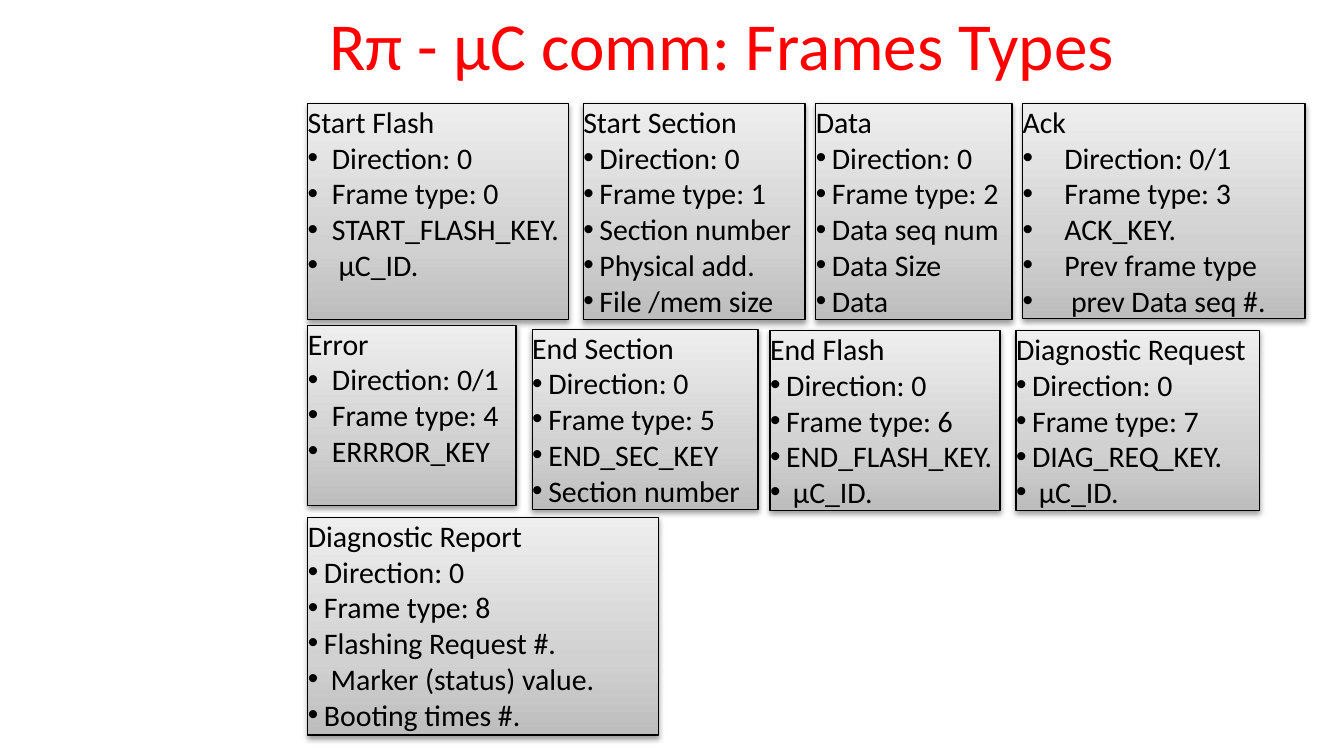
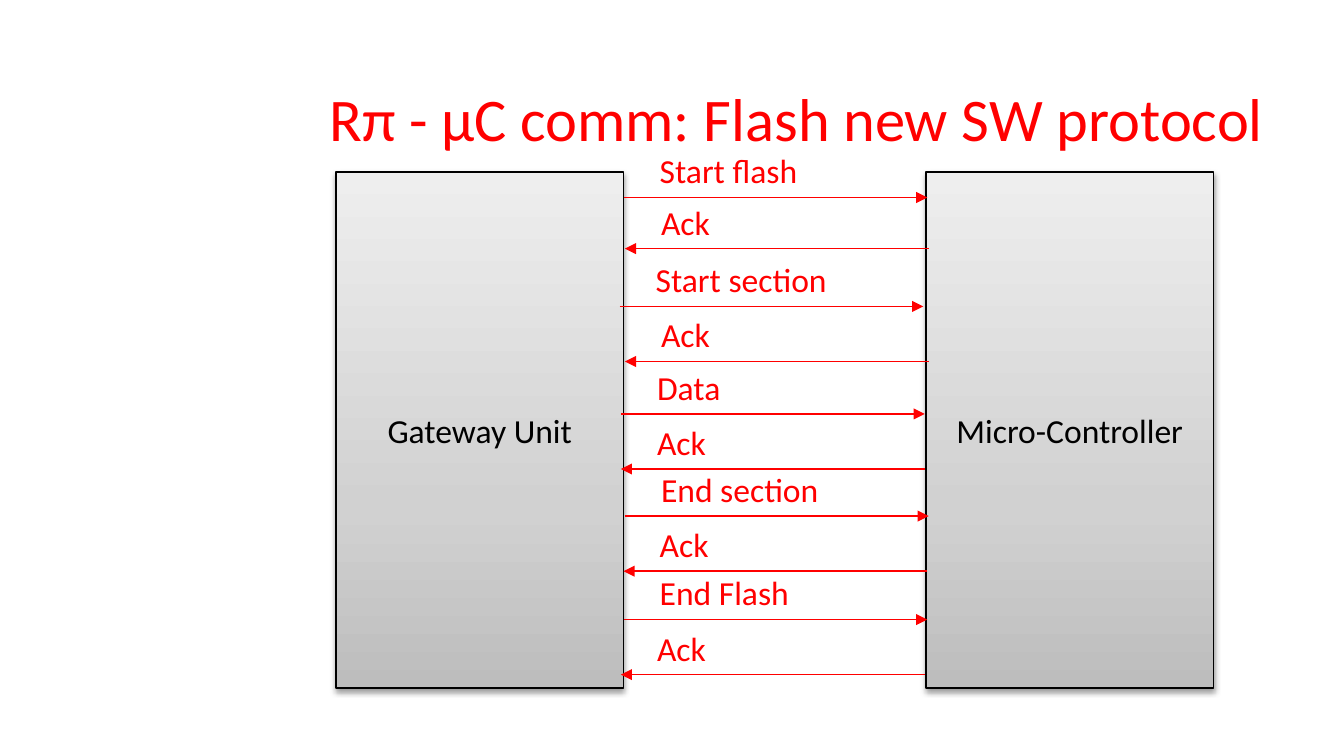
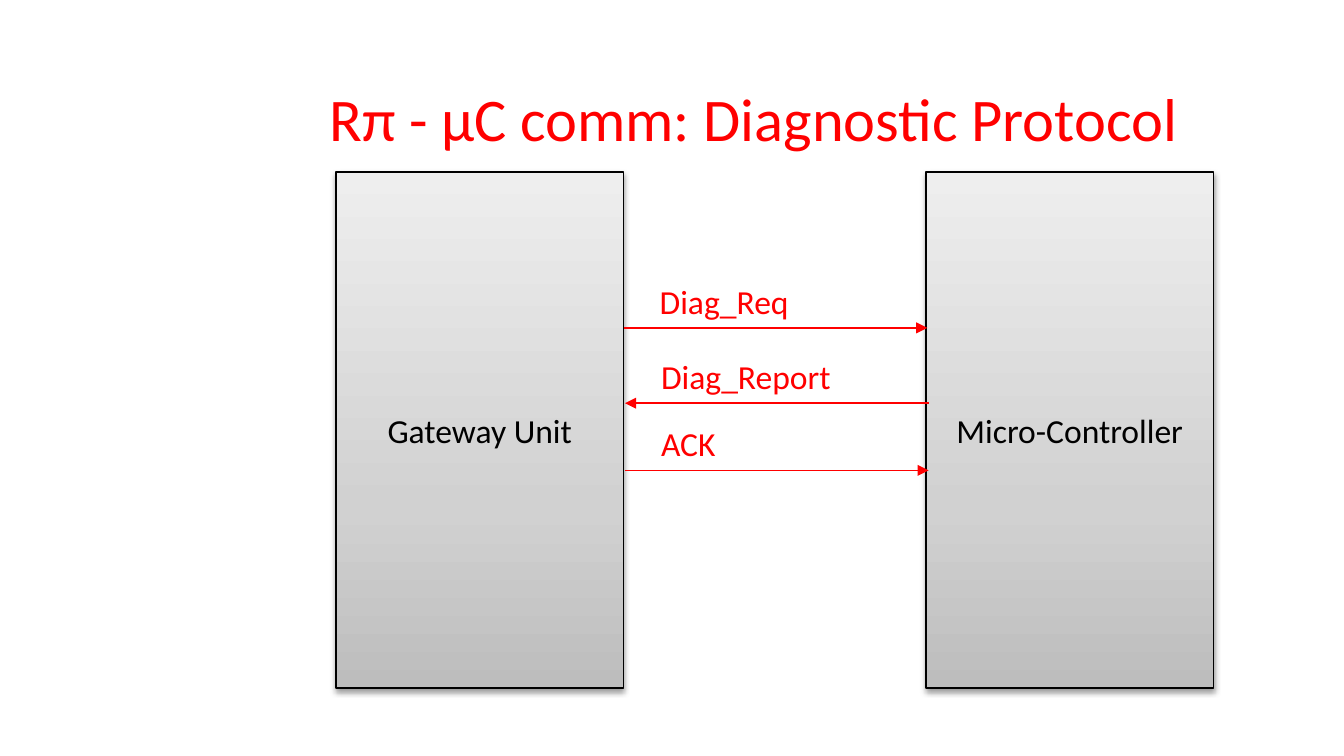
from copy import deepcopy
from typing import NamedTuple

from lxml.etree import SubElement
from pptx import Presentation
from pptx.dml.color import RGBColor
from pptx.enum.shapes import MSO_CONNECTOR as Connector, MSO_SHAPE as Shape
from pptx.enum.text import MSO_ANCHOR as Anchor, MSO_AUTO_SIZE as AutoSize, PP_ALIGN as Align
from pptx.oxml.ns import qn
from pptx.util import Inches, Pt

SLIDE_WIDTH = Inches(10)
SLIDE_HEIGHT = SLIDE_WIDTH * 9 // 16
COLORS = {
    "accent": "FF0000",
    "ink": "000000",
    "shade": "BDBDBD",
    "middle": "D1D1D1",
    "light": "EEEEEE",
}
GRADIENT = ((0, "shade"), (0.35, "middle"), (1, "light"))
FONT = "Calibri"
ARROW_LENGTH = 2.26
LABEL_OFFSET = 0.17
LABEL_RISE = 0.4


class Box(NamedTuple):
    left: float
    top: float
    width: float
    height: float

    def lengths(self) -> list:
        return [Inches(value) for value in self]


class Frame(NamedTuple):
    """A frame type; its number is its place in FRAMES."""
    name: str
    box: Box
    fields: tuple[str, ...]
    direction: str = "0"
    indent: float = 0.12


class Message(NamedTuple):
    label: str
    left: float
    y: float


class Party(NamedTuple):
    name: str
    box: Box


class Exchange(NamedTuple):
    title: str
    messages: tuple[Message, ...]


FRAMES = (
    Frame("Start Flash", Box(2.29, 0.77, 1.94, 1.61),
          ("START_FLASH_KEY.", " µC_ID."), indent=0.18),
    Frame("Start Section", Box(4.34, 0.77, 1.65, 1.61),
          ("Section number", "Physical add.", "File /mem size")),
    Frame("Data", Box(6.07, 0.77, 1.46, 1.61), ("Data seq num", "Data Size", "Data")),
    Frame("Ack", Box(7.61, 0.77, 2.1, 1.6),
          ("ACK_KEY.", "Prev frame type", " prev Data seq #."), "0/1", 0.31),
    Frame("Error", Box(2.29, 2.42, 1.55, 1.34), ("ERRROR_KEY",), "0/1", 0.18),
    Frame("End Section", Box(3.96, 2.45, 1.68, 1.34), ("END_SEC_KEY", "Section number")),
    Frame("End Flash", Box(5.73, 2.46, 1.71, 1.34), ("END_FLASH_KEY.", " µC_ID.")),
    Frame("Diagnostic Request", Box(7.56, 2.46, 1.81, 1.34), ("DIAG_REQ_KEY.", " µC_ID.")),
    Frame("Diagnostic Report", Box(2.29, 3.85, 2.61, 1.62),
          ("Flashing Request #.", " Marker (status) value.", "Booting times #.")),
)
PARTIES = (
    Party("Gateway Unit", Box(2.5, 1.28, 2.14, 3.84)),
    Party("Micro-Controller", Box(6.89, 1.28, 2.14, 3.84)),
)
EXCHANGES = (
    Exchange("Flash new SW protocol", (
        Message("Start flash", 4.64, 1.47),
        Message("Ack", 4.65, 1.85),
        Message("Start section", 4.61, 2.28),
        Message("Ack", 4.65, 2.69),
        Message("Data", 4.62, 3.08),
        Message("Ack", 4.62, 3.49),
        Message("End section", 4.65, 3.84),
        Message("Ack", 4.64, 4.25),
        Message("End Flash", 4.64, 4.61),
        Message("Ack", 4.62, 5.02),
    )),
    Exchange("Diagnostic Protocol", (
        Message("Diag_Req", 4.64, 2.44),
        Message("Diag_Report", 4.65, 3),
        Message("ACK", 4.65, 3.5),
    )),
)


def rgb(color: str) -> RGBColor:
    return RGBColor.from_string(COLORS[color])


def apply(target, **settings) -> None:
    for attribute, value in settings.items():
        setattr(target, attribute, value)


def write(paragraph, text: str, size: float, color: str, align=Align.LEFT) -> None:
    paragraph.alignment = align
    run = paragraph.add_run()
    run.text = text
    apply(run.font, name=FONT, size=Pt(size))
    run.font.color.rgb = rgb(color)


def add_titled_slide(deck, topic: str, top: float, size: float):
    slide = deck.slides.add_slide(deck.slide_layouts.get_by_name("Title Only"))
    title = slide.shapes.title
    left, top, width, height = Box(2.35, top, 7.19, 0.79).lengths()
    apply(title, left=left, top=top, width=width, height=height)
    apply(title.text_frame, word_wrap=True, auto_size=AutoSize.NONE,
          vertical_anchor=Anchor.MIDDLE)
    write(title.text_frame.paragraphs[0], f"Rπ - µC comm: {topic}", size, "accent")
    return slide


def add_panel(slide, box: Box):
    """Add a grey gradient rectangle with a thin outline and a soft shadow."""
    panel = slide.shapes.add_shape(Shape.RECTANGLE, *box.lengths())
    panel.fill.gradient()
    panel.fill.gradient_angle = 90
    properties = panel._element.spPr
    stop_list = properties.find(".//" + qn("a:gsLst"))
    stop_list.append(deepcopy(stop_list[-1]))
    for stop, (position, color) in zip(panel.fill.gradient_stops, GRADIENT):
        stop.position = position
        stop.color.rgb = rgb(color)
    panel.line.color.rgb = rgb("ink")
    panel.line.width = Pt(0.75)

    panel.shadow.inherit = False
    shadow = SubElement(properties.find(qn("a:effectLst")), qn("a:outerShdw"),
                        blurRad=str(Pt(3.1)), dist=str(Pt(1.6)), dir="5400000",
                        rotWithShape="0")
    shade = SubElement(shadow, qn("a:srgbClr"), val=COLORS["ink"])
    SubElement(shade, qn("a:alpha"), val="38000")
    return panel


def add_bullet(paragraph, indent: float) -> None:
    properties = paragraph._p.get_or_add_pPr()
    properties.set("marL", str(Inches(indent)))
    properties.set("indent", str(-Inches(indent)))
    SubElement(properties, qn("a:buFont"), typeface="Arial")
    SubElement(properties, qn("a:buChar"), char="•")


def add_frame(slide, number: int, frame: Frame) -> None:
    text = add_panel(slide, frame.box).text_frame
    apply(text, word_wrap=True, vertical_anchor=Anchor.TOP, margin_left=0,
          margin_top=0, margin_right=0, margin_bottom=Inches(0.05))
    write(text.paragraphs[0], frame.name, 16, "ink")
    for field in (f"Direction: {frame.direction}", f"Frame type: {number}", *frame.fields):
        paragraph = text.add_paragraph()
        write(paragraph, field, 16, "ink")
        add_bullet(paragraph, frame.indent)


def add_party(slide, party: Party) -> None:
    text = add_panel(slide, party.box).text_frame
    text.vertical_anchor = Anchor.MIDDLE
    write(text.paragraphs[0], party.name, 18, "ink", Align.CENTER)


def add_message(slide, message: Message, is_reply: bool) -> None:
    """Add a labelled arrow, pointing left when it is a reply."""
    group = slide.shapes.add_group_shape()
    start, end = message.left, message.left + ARROW_LENGTH
    if is_reply:
        start, end = end, start
    y = Inches(message.y)
    arrow = group.shapes.add_connector(Connector.STRAIGHT, Inches(start), y, Inches(end), y)
    arrow.line.color.rgb = rgb("accent")
    arrow.line.width = Pt(0.75)
    SubElement(arrow.line._get_or_add_ln(), qn("a:tailEnd"), type="triangle")
    SubElement(arrow._element.spPr, qn("a:effectLst"))

    place = Box(message.left + LABEL_OFFSET, message.y - LABEL_RISE, 1.65, 0.4)
    text = group.shapes.add_textbox(*place.lengths()).text_frame
    apply(text, word_wrap=True, auto_size=AutoSize.SHAPE_TO_FIT_TEXT)
    write(text.paragraphs[0], message.label, 18, "accent")


def add_exchange_slide(deck, exchange: Exchange) -> None:
    slide = add_titled_slide(deck, exchange.title, 0.48, 32.4)
    for party in PARTIES:
        add_party(slide, party)
    for turn, message in enumerate(exchange.messages):
        add_message(slide, message, is_reply=turn % 2 == 1)


def main() -> None:
    deck = Presentation()
    apply(deck, slide_width=SLIDE_WIDTH, slide_height=SLIDE_HEIGHT)
    frames_slide = add_titled_slide(deck, "Frames Types", -0.07, 36)
    for number, frame in enumerate(FRAMES):
        add_frame(frames_slide, number, frame)
    for exchange in EXCHANGES:
        add_exchange_slide(deck, exchange)
    deck.save("out.pptx")


if __name__ == "__main__":
    main()
